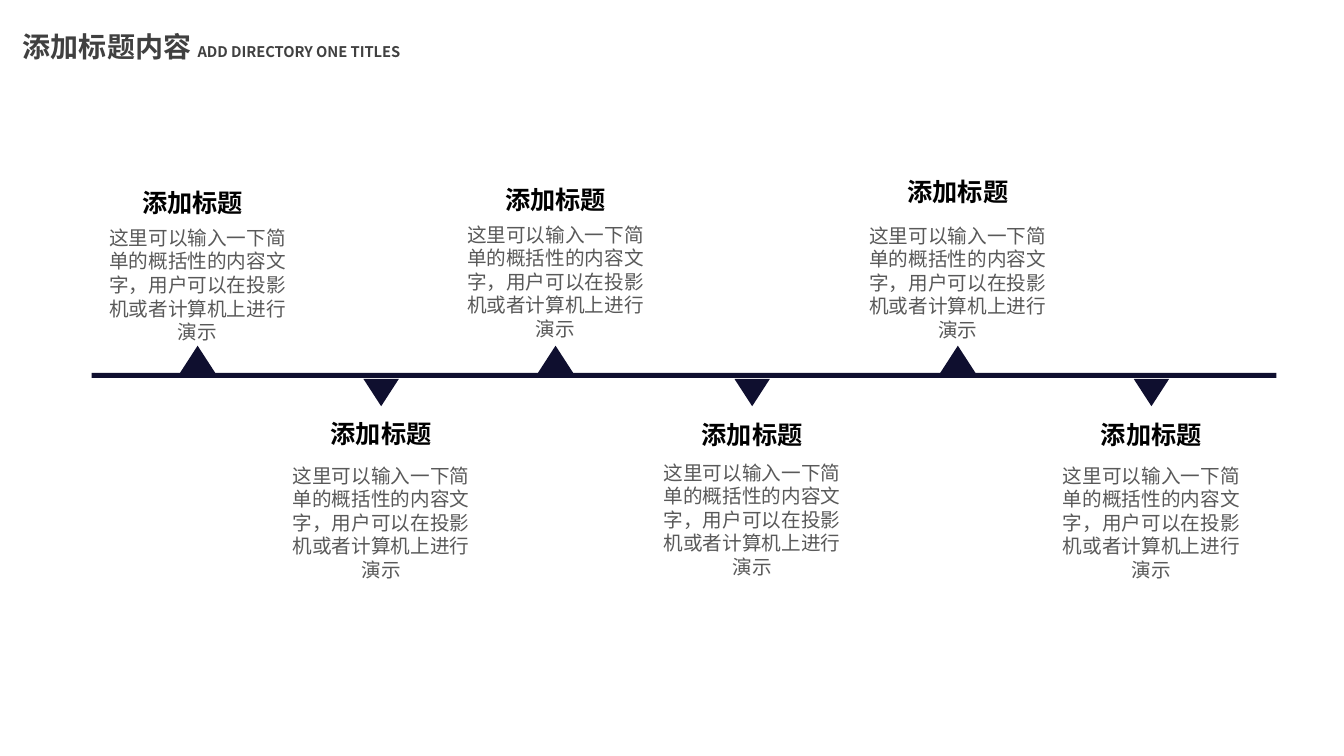
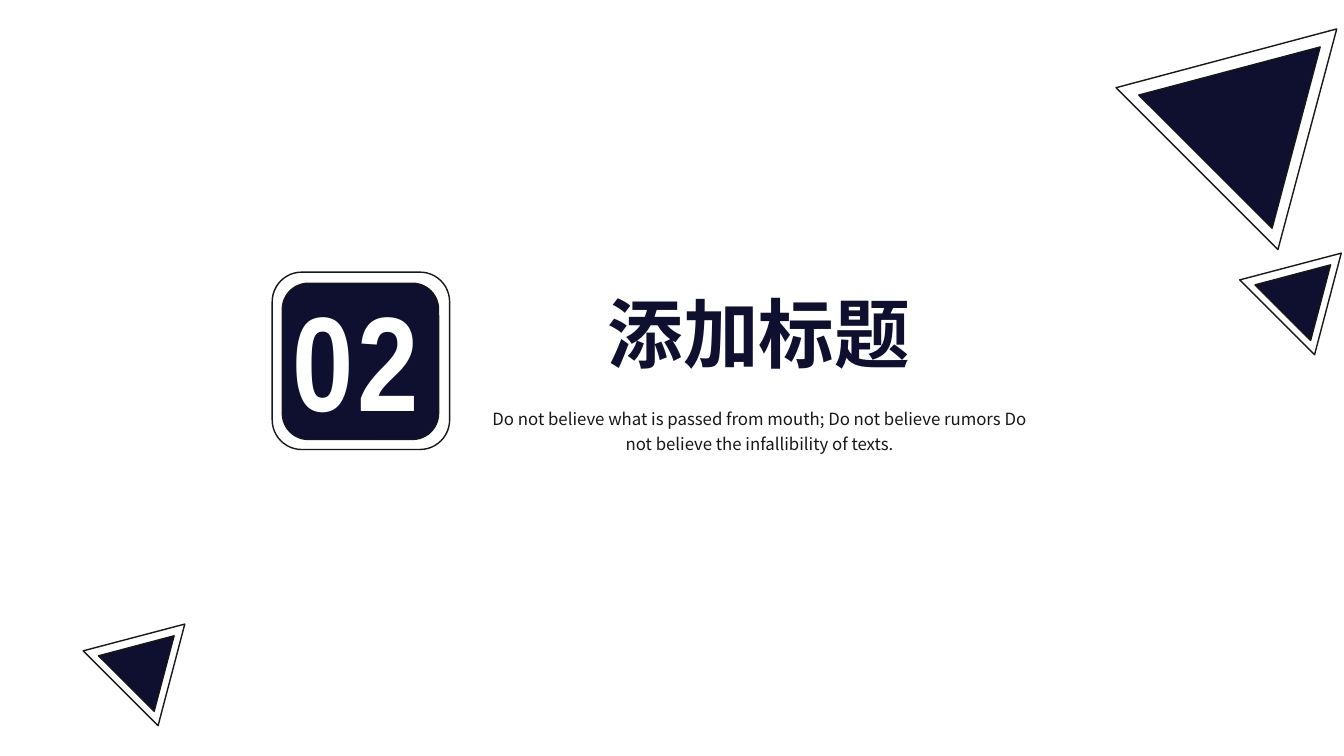
from lxml import etree
from pptx import Presentation
from pptx.dml.color import RGBColor
from pptx.enum.shapes import MSO_SHAPE
from pptx.enum.text import MSO_AUTO_SIZE, PP_ALIGN
from pptx.oxml.ns import qn
from pptx.util import Inches, Pt

RECTANGLE = MSO_SHAPE.RECTANGLE
ROUNDED = MSO_SHAPE.ROUNDED_RECTANGLE
TRIANGLE = MSO_SHAPE.ISOSCELES_TRIANGLE
CENTER = PP_ALIGN.CENTER
LEFT = PP_ALIGN.LEFT
GROW = MSO_AUTO_SIZE.SHAPE_TO_FIT_TEXT

NAVY = RGBColor(0x0F, 0x0F, 0x2F)
INK = RGBColor(0x18, 0x17, 0x17)
HEADING_GRAY = RGBColor(0x40, 0x40, 0x40)
BODY_GRAY = RGBColor(0x59, 0x59, 0x59)
BLACK = RGBColor(0x00, 0x00, 0x00)
WHITE = RGBColor(0xFF, 0xFF, 0xFF)

MAIN_FONT = "Noto Sans CJK SC"
NUMBER_FONT = "Arial Narrow"
WIDE_INSETS = (0.1, 0.05)
TIGHT_INSETS = (0.07, 0.04)

TITLE = "添加标题"
BODY = "这里可以输入一下简单的概括性的内容文字，用户可以在投影机或者计算机上进行演示"

AXIS_TOP, AXIS_HEIGHT = 3.7, 0.05
MARKER_WIDTH, MARKER_HEIGHT = 0.35, 0.27
TITLE_WIDTH, BODY_WIDTH = 2.7, 1.94

# (marker centre, title centre, title top, body top)
MILESTONES = [
    (1.96, 1.91, 1.82, 2.2),
    (3.78, 3.78, 4.11, 4.56),
    (5.51, 5.51, 1.79, 2.17),
    (7.46, 7.46, 4.12, 4.53),
    (9.5, 9.5, 1.71, 2.18),
    (11.42, 11.42, 4.12, 4.56),
]


class Deck:
    def __init__(self):
        self.presentation = Presentation()
        self.presentation.slide_width = Inches(13.33)
        self.presentation.slide_height = Inches(7.5)
        self.slide = None

    def new_slide(self):
        self.slide = self.presentation.slides.add_slide(self.presentation.slide_layouts[6])

    def shape(self, kind, left, top, width, height, fill=None, line=None, rotation=0):
        shape = self.slide.shapes.add_shape(
            kind, Inches(left), Inches(top), Inches(width), Inches(height))
        shape.shadow.inherit = False
        shape.rotation = rotation
        if fill is None:
            shape.fill.background()
        else:
            shape.fill.solid()
            shape.fill.fore_color.rgb = fill
        if line is None:
            shape.line.fill.background()
        else:
            shape.line.color.rgb = line
            shape.line.width = Pt(1)

    def text(self, left, top, width, height, runs, color, bold=False, font=MAIN_FONT,
             align=CENTER, insets=WIDE_INSETS, wrap=True, line_spacing=None, tracking=None):
        box = self.slide.shapes.add_textbox(
            Inches(left), Inches(top), Inches(width), Inches(height))
        frame = box.text_frame
        frame.word_wrap = wrap
        frame.auto_size = GROW
        frame.margin_left = frame.margin_right = Inches(insets[0])
        frame.margin_top = frame.margin_bottom = Inches(insets[1])
        paragraph = frame.paragraphs[0]
        paragraph.alignment = align
        paragraph.line_spacing = line_spacing
        for content, size in runs:
            run = paragraph.add_run()
            run.text = content
            run.font.size = Pt(size)
            run.font.bold = bold
            run.font.color.rgb = color
            run.font.name = font
            properties = run._r.get_or_add_rPr()
            etree.SubElement(properties, qn("a:ea")).set("typeface", font)
            if tracking is not None:
                properties.set("spc", str(tracking * 100))

    def page_heading(self, title, subtitle):
        self.text(0, 0.24, 4.2, 0.44, [(title + " ", 20), (subtitle, 10.5)],
                  HEADING_GRAY, bold=True)

    def milestone(self, center, title_center, title_top, body_top):
        above = title_top < AXIS_TOP
        marker_top = AXIS_TOP - MARKER_HEIGHT if above else AXIS_TOP + AXIS_HEIGHT + 0.01
        self.shape(TRIANGLE, center - MARKER_WIDTH / 2, marker_top, MARKER_WIDTH,
                   MARKER_HEIGHT, fill=NAVY, rotation=0 if above else 180)
        self.text(title_center - TITLE_WIDTH / 2, title_top, TITLE_WIDTH, 0.38,
                  [(TITLE, 18)], BLACK, bold=True, insets=TIGHT_INSETS)
        self.text(center - BODY_WIDTH / 2, body_top, BODY_WIDTH, 1.25,
                  [(BODY, 14)], BODY_GRAY, insets=TIGHT_INSETS)

    def framed_triangle(self, inner, outer):
        for bounds, fill in ((inner, NAVY), (outer, None)):
            self.shape(TRIANGLE, *bounds, fill=fill, line=INK, rotation=45)

    def small_triangle(self, left, top):
        self.framed_triangle((left + 0.11, top + 0.15, 0.78, 0.67), (left, top, 1.05, 0.9))


def build_timeline(deck):
    deck.new_slide()
    deck.page_heading("添加标题内容", "ADD DIRECTORY ONE TITLES")
    deck.shape(RECTANGLE, 0.91, AXIS_TOP, 11.75, AXIS_HEIGHT, fill=NAVY)
    for milestone in MILESTONES:
        deck.milestone(*milestone)


def build_section(deck):
    deck.new_slide()
    deck.shape(ROUNDED, 2.8, 2.81, 1.55, 1.55, fill=NAVY, line=INK)
    deck.text(2.8, 2.7, 1.61, 1.72, [("02", 96)], WHITE, bold=True,
              font=NUMBER_FONT, align=LEFT, tracking=3)
    deck.shape(ROUNDED, 2.7, 2.7, 1.76, 1.76, line=INK)
    deck.framed_triangle((11.59, 0.23, 1.87, 1.61), (11.43, 0, 2.27, 1.96))
    deck.small_triangle(12.46, 2.38)
    deck.small_triangle(0.99, 6.06)
    deck.text(5.91, 2.8, 3.23, 1.01, [(TITLE, 54)], NAVY, bold=True, wrap=False)
    deck.text(4.65, 3.97, 5.77, 0.59,
              [("Do not believe what is passed from mouth; Do not believe rumors "
                "Do not believe the infallibility of texts.", 12)],
              INK, line_spacing=1.2)


def main():
    deck = Deck()
    build_timeline(deck)
    build_section(deck)
    deck.presentation.save("out.pptx")


if __name__ == "__main__":
    main()
